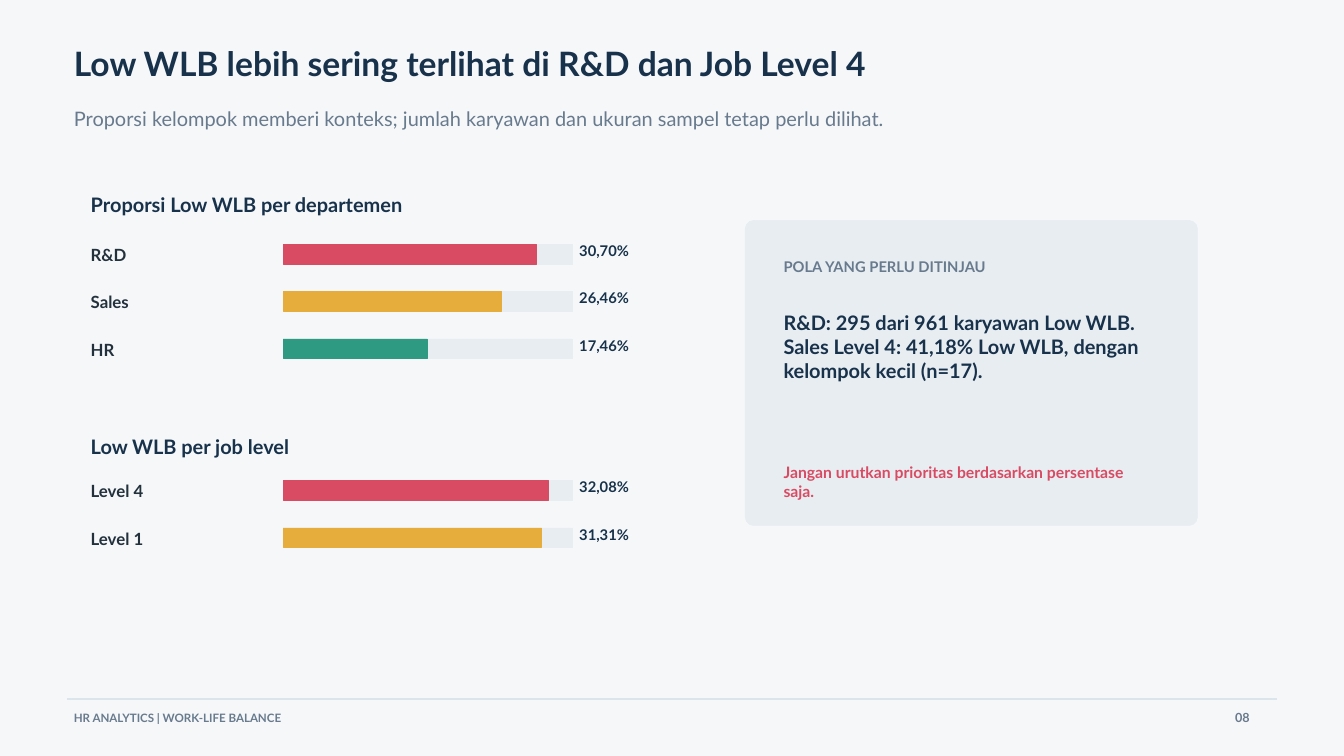
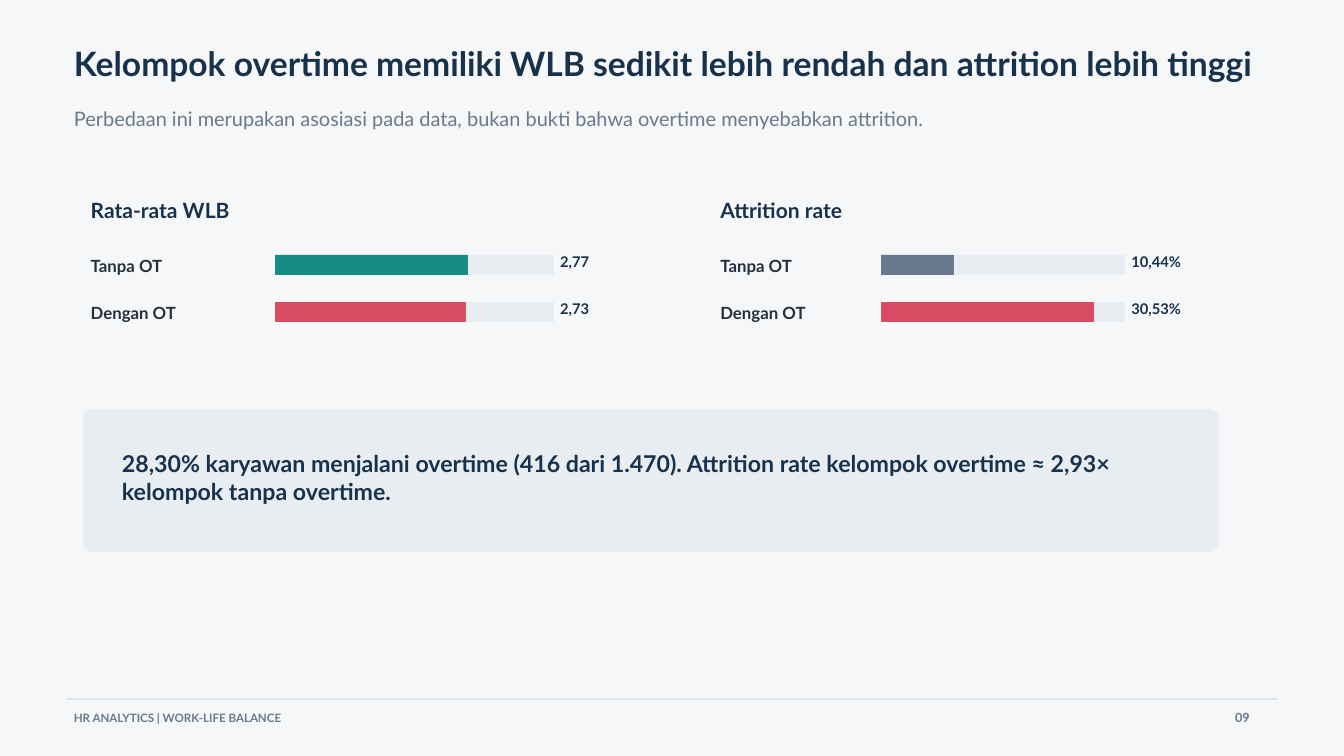
import pptx
import pptx.dml.color
import pptx.enum.shapes
import pptx.enum.text
import pptx.oxml.ns
import pptx.util
from lxml import etree

Pt = pptx.util.Pt
SHAPE = pptx.enum.shapes.MSO_SHAPE

FONT = "Lato"
PAPER, PANEL, RULE = "F6F7F9", "E8EDF2", "DDE5EC"
NAVY, INK, GREY = "18324B", "23313D", "687A8D"
RED, AMBER, GREEN, TEAL = "D94B63", "E6AC3C", "2D9A81", "168C83"
ROW_STEP, BAR_HEIGHT, CARD_RADIUS, CARD_PAD = 50.6, 20.7, 9, 41

# Bar group: heading, heading size, heading top, label left, first bar top,
# track left, track width, scale maximum, unit, rows
# Card: left, top, width, height, texts as (lines, offset from top, height, size, colour)
SLIDES = [
    dict(
        title="Low WLB lebih sering terlihat di R&D dan Job Level 4",
        subtitle="Proporsi kelompok memberi konteks; jumlah karyawan dan ukuran "
                 "sampel tetap perlu dilihat.",
        page="08",
        groups=[
            ("Proporsi Low WLB per departemen", 21.4, 206.6, 97.2, 262, 303.3, 309.8, 35, "%",
             [("R&D", 30.70, RED), ("Sales", 26.46, AMBER), ("HR", 17.46, GREEN)]),
            ("Low WLB per job level", 21.4, 465.8, 97.2, 515, 303.3, 309.8, 35, "%",
             [("Level 4", 32.08, RED), ("Level 1", 31.31, AMBER)]),
        ],
        card=(798.5, 236.2, 484.5, 326.8, [
            (["POLA YANG PERLU DITINJAU"], 39.6, 21, 15.8, GREY),
            (["R&D: 295 dari 961 karyawan Low WLB.",
              "Sales Level 4: 41,18% Low WLB, dengan kelompok kecil (n=17)."],
             96.5, 122, 21.4, NAVY),
            (["Jangan urutkan prioritas berdasarkan persentase saja."], 259.2, 44, 16.9, RED),
        ]),
    ),
    dict(
        title="Kelompok overtime memiliki WLB sedikit lebih rendah dan attrition lebih tinggi",
        subtitle="Perbedaan ini merupakan asosiasi pada data, bukan bukti bahwa overtime "
                 "menyebabkan attrition.",
        page="09",
        groups=[
            ("Rata-rata WLB", 22.5, 211.7, 97.2, 273.2, 295.2, 297.4, 4, "",
             [("Tanpa OT", 2.77, TEAL), ("Dengan OT", 2.73, RED)]),
            ("Attrition rate", 22.5, 211.7, 771.8, 273.2, 944, 260.6, 35, "%",
             [("Tanpa OT", 10.44, GREY), ("Dengan OT", 30.53, RED)]),
        ],
        card=(89.7, 438.5, 1215.4, 152.6, [
            (["28,30% karyawan menjalani overtime (416 dari 1.470). "
              "Attrition rate kelompok overtime ≈ 2,93× kelompok tanpa overtime."],
             43.2, 58, 24.8, NAVY),
        ]),
    ),
]


def paint(fill, color):
    """Set a solid colour on the fill of a shape, line, font or background."""
    fill.solid()
    fill.fore_color.rgb = pptx.dml.color.RGBColor.from_string(color)


def write(shape, lines, size, color, bold=True):
    """Fill a shape with one paragraph per line, without insets."""
    tf = shape.text_frame
    tf.word_wrap = True
    tf.auto_size = pptx.enum.text.MSO_AUTO_SIZE.NONE
    tf.vertical_anchor = pptx.enum.text.MSO_ANCHOR.TOP
    tf.margin_left = tf.margin_top = tf.margin_right = tf.margin_bottom = 0
    for i, line in enumerate(lines):
        p = tf.add_paragraph() if i else tf.paragraphs[0]
        p.alignment = pptx.enum.text.PP_ALIGN.LEFT
        p.line_spacing = Pt(round(size * 1.2, 1))
        p.space_before = Pt(0)
        r = p.add_run()
        r.text = line
        r.font.name, r.font.size, r.font.bold = FONT, Pt(size), bold
        paint(r.font.fill, color)


prs = pptx.Presentation()
prs.slide_width, prs.slide_height = Pt(1440), Pt(810)
paint(prs.slide_master.background.fill, PAPER)

for content in SLIDES:
    s = prs.slides.add_slide(prs.slide_layouts[5])
    title = s.shapes.title
    title.left, title.top, title.width, title.height = Pt(79.2), Pt(46), Pt(1268), Pt(58)
    write(title, [content["title"]], 36, NAVY)

    rule = s.shapes.add_connector(pptx.enum.shapes.MSO_CONNECTOR.STRAIGHT,
                                  Pt(72), Pt(748.8), Pt(1368), Pt(748.8))
    paint(rule.line.fill, RULE)
    rule.line.width = Pt(2)
    etree.SubElement(rule._element.spPr, pptx.oxml.ns.qn("a:effectLst"))

    # Boxes: kind, left, top, width, height, colour
    # Texts: lines, left, top, width, height, size, colour, bold
    boxes = []
    texts = [
        ([content["subtitle"]], 79.2, 114.5, 1257, 50, 21.4, GREY, False),
        (["HR ANALYTICS | WORK-LIFE BALANCE"], 79.2, 761.8, 717, 20, 12.4, GREY, True),
        ([content["page"]], 1323.4, 761, 40, 21, 13.5, GREY, True),
    ]

    for (heading, size, heading_top, left, first_top, track_left, track_width,
         maximum, unit, rows) in content["groups"]:
        texts.append(([heading], left, heading_top, 470, 27, size, NAVY, True))
        for i, (label, value, color) in enumerate(rows):
            top = first_top + i * ROW_STEP
            shown = f"{value:.2f}".replace(".", ",") + unit
            for width, fill in ((track_width, PANEL), (track_width * value / maximum, color)):
                boxes.append((SHAPE.RECTANGLE, track_left, top, width, BAR_HEIGHT, fill))
            texts.append(([label], left, top + 0.5, track_left - left - 7, 22, 18, INK, True))
            texts.append(([shown], track_left + track_width + 7.5, top - 2.8, 85, 24.5,
                          15.8, NAVY, True))

    left, top, width, height, card_texts = content["card"]
    boxes.append((SHAPE.ROUNDED_RECTANGLE, left, top, width, height, PANEL))
    for lines, offset, text_height, size, color in card_texts:
        texts.append((lines, left + CARD_PAD, top + offset, width - 2.3 * CARD_PAD,
                      text_height, size, color, True))

    for kind, left, top, width, height, color in boxes:
        box = s.shapes.add_shape(kind, Pt(left), Pt(top), Pt(width), Pt(height))
        box.shadow.inherit = False
        paint(box.fill, color)
        paint(box.line.fill, color)
        box.line.width = Pt(0.56)
        if kind == SHAPE.ROUNDED_RECTANGLE:
            box.adjustments[0] = CARD_RADIUS / min(width, height)

    for lines, left, top, width, height, size, color, bold in texts:
        tb = s.shapes.add_textbox(Pt(left), Pt(top), Pt(width), Pt(height))
        write(tb, lines, size, color, bold)

prs.save("out.pptx")
